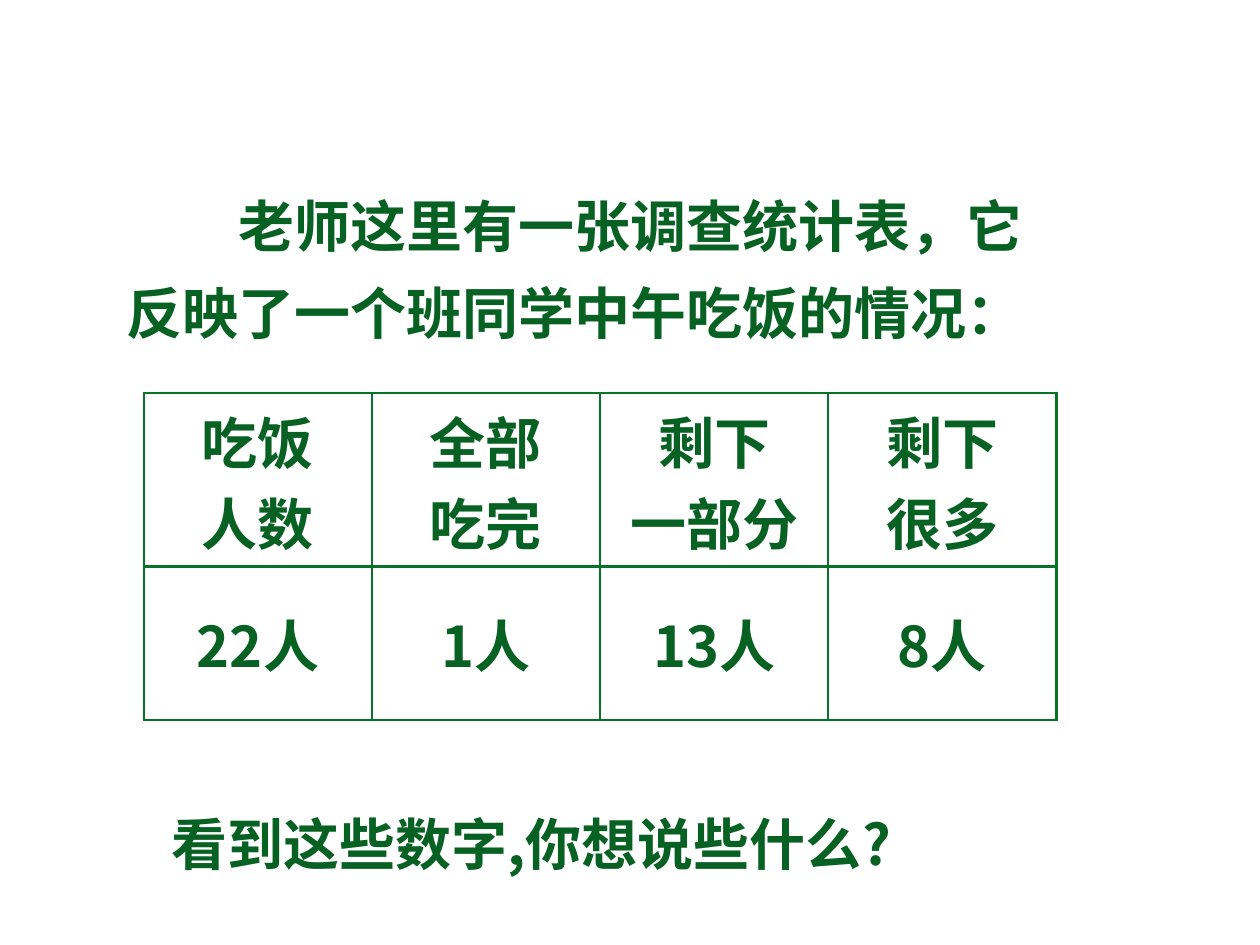
from lxml import etree
from pptx import Presentation
from pptx.dml.color import RGBColor
from pptx.enum.lang import MSO_LANGUAGE_ID
from pptx.enum.text import MSO_ANCHOR, MSO_AUTO_SIZE, PP_ALIGN
from pptx.oxml.ns import qn
from pptx.util import Cm, Pt

CENTER = PP_ALIGN.CENTER
MIDDLE = MSO_ANCHOR.MIDDLE
GROW = MSO_AUTO_SIZE.SHAPE_TO_FIT_TEXT
CHINESE = MSO_LANGUAGE_ID.SIMPLIFIED_CHINESE

TEXT_GREEN = RGBColor(0x07, 0x61, 0x23)
BORDER_GREEN = RGBColor(0x08, 0x72, 0x29)
WHITE = RGBColor(0xFF, 0xFF, 0xFF)

CHINESE_FONT = "Noto Sans CJK SC"
TEXT_FORMAT = {"size": Pt(32), "bold": True, "language_id": CHINESE}
BORDER_WIDTH = Pt(1.47)

MEAL_SURVEY = [
    ("吃饭\n人数", "全部\n吃完", "剩下\n一部分", "剩下\n很多"),
    ("22人", "1人", "13人", "8人"),
]
HEADER_SHARE = 0.53


def write_text(paragraph, text, font_name=CHINESE_FONT):
    run = paragraph.add_run()
    run.text = text
    for name, value in TEXT_FORMAT.items():
        setattr(run.font, name, value)
    run.font.color.rgb = TEXT_GREEN
    run.font.name = font_name
    properties = run._r.get_or_add_rPr()
    etree.SubElement(properties, qn("a:ea"), typeface=CHINESE_FONT)


def add_text_box(slide, box, wrap):
    frame = slide.shapes.add_textbox(*box).text_frame
    frame.word_wrap = wrap
    frame.auto_size = GROW
    return frame.paragraphs[0]


def add_introduction(slide, box):
    paragraph = add_text_box(slide, box, wrap=True)
    paragraph.line_spacing = 1.3
    properties = paragraph._p.get_or_add_pPr()
    properties.set("marL", "0")
    properties.set("indent", str(2 * TEXT_FORMAT["size"]))
    write_text(paragraph, "老师这里有一张调查统计表，它反映了一个班同学中午吃饭的情况：", "Arial")


def add_question(slide, box):
    paragraph = add_text_box(slide, box, wrap=False)
    write_text(paragraph, "看到这些数字,你想说些什么?")


def add_borders(cell):
    properties = cell._tc.get_or_add_tcPr()
    for position, side in enumerate(("lnL", "lnR", "lnT", "lnB")):
        line = etree.Element(qn(f"a:{side}"), w=str(BORDER_WIDTH))
        fill = etree.SubElement(line, qn("a:solidFill"))
        etree.SubElement(fill, qn("a:srgbClr"), val=str(BORDER_GREEN))
        properties.insert(position, line)


def fill_cell(cell, text):
    cell.fill.solid()
    cell.fill.fore_color.rgb = WHITE
    cell.vertical_anchor = MIDDLE
    add_borders(cell)
    for index, line in enumerate(text.split("\n")):
        frame = cell.text_frame
        paragraph = frame.add_paragraph() if index else frame.paragraphs[0]
        paragraph.alignment = CENTER
        write_text(paragraph, line)


def add_survey_table(slide, box):
    left, top, width, height = box
    column_count = len(MEAL_SURVEY[0])
    table = slide.shapes.add_table(len(MEAL_SURVEY), column_count, *box).table
    for column in table.columns:
        column.width = width // column_count
    header_height = int(height * HEADER_SHARE)
    table.rows[0].height = header_height
    table.rows[1].height = height - header_height
    for row_index, row in enumerate(MEAL_SURVEY):
        for column_index, text in enumerate(row):
            fill_cell(table.cell(row_index, column_index), text)


def main():
    presentation = Presentation()
    presentation.slide_width = Cm(25.4)
    presentation.slide_height = Cm(19.05)
    slide = presentation.slides.add_slide(presentation.slide_layouts[6])
    add_introduction(slide, (Cm(2.3), Cm(3.33), Cm(19), Cm(3.78)))
    add_question(slide, (Cm(3.2), Cm(16.2), Cm(16.23), Cm(1.63)))
    add_survey_table(slide, (Cm(2.9), Cm(7.92), Cm(18.4), Cm(6.6)))
    presentation.save("out.pptx")


if __name__ == "__main__":
    main()
